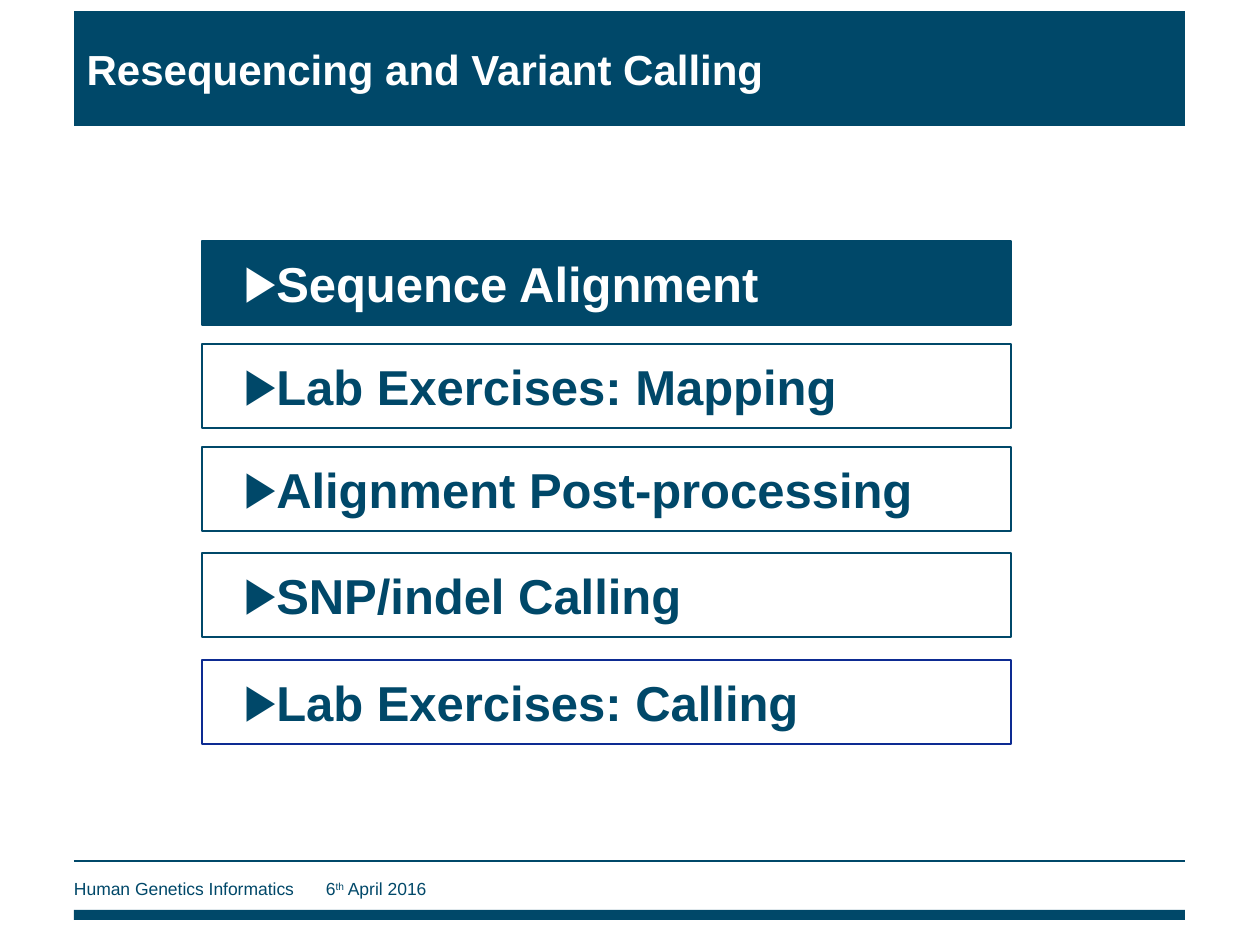
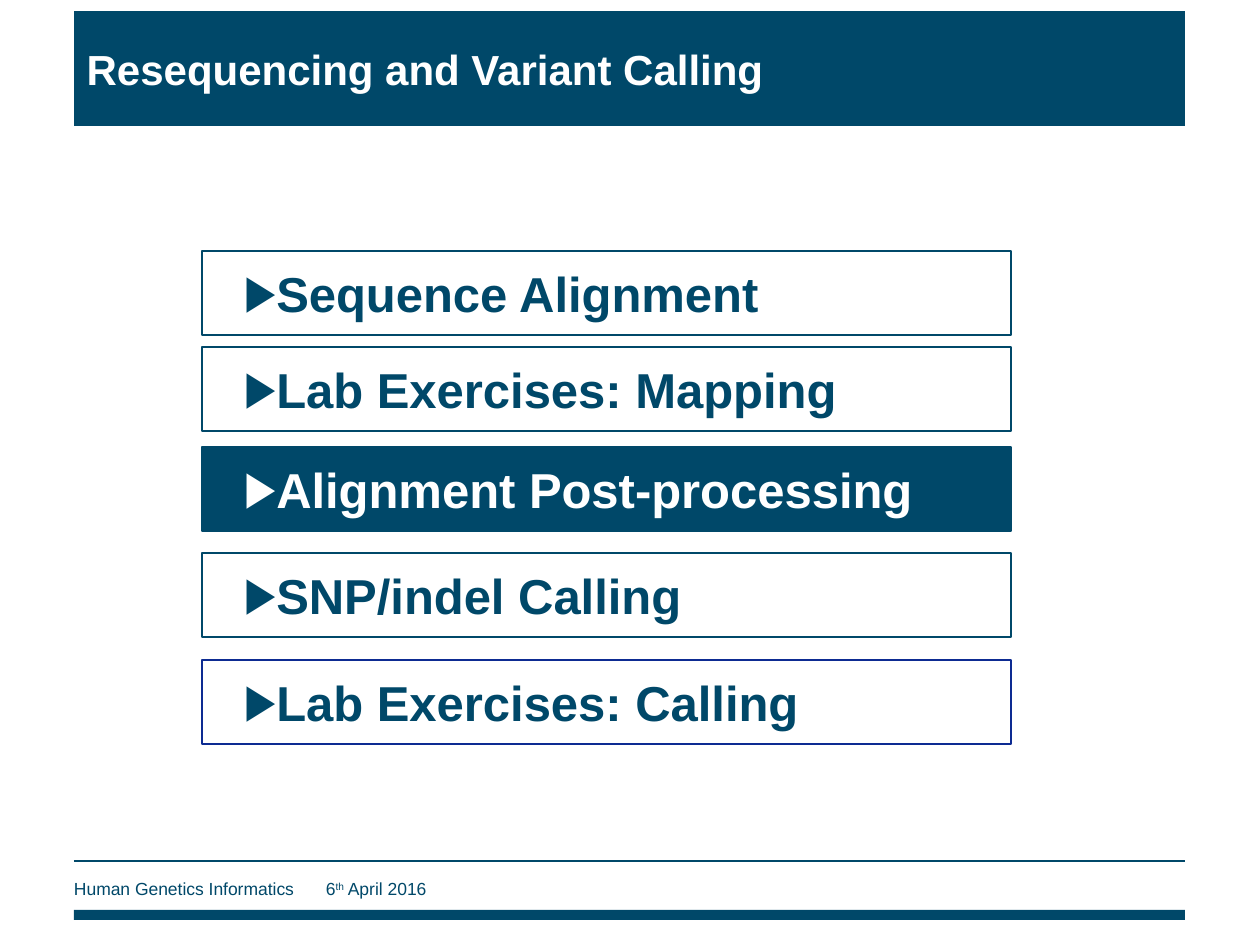
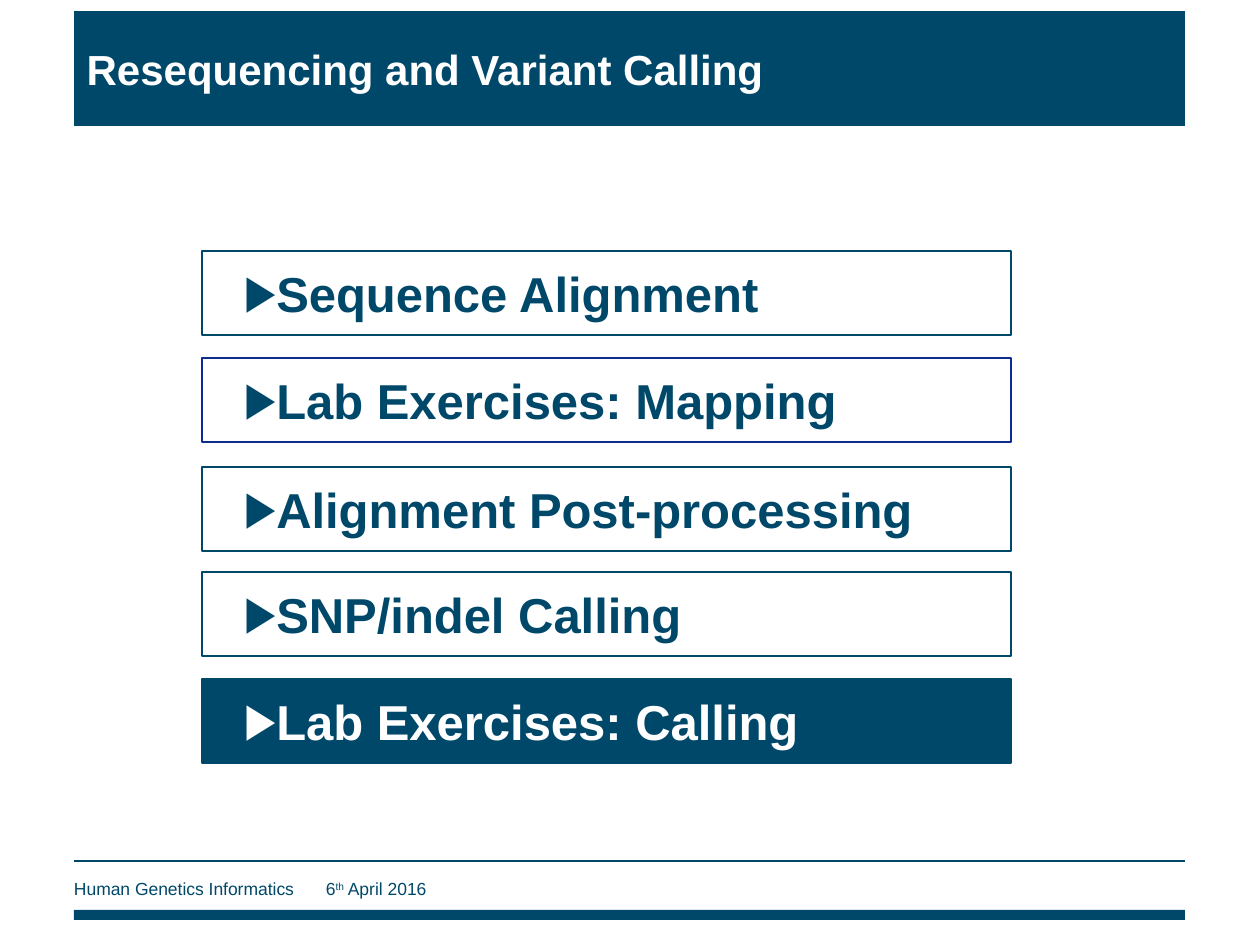
from lxml import etree
from pptx import Presentation
from pptx import util as u
from pptx.dml.color import RGBColor
from pptx.enum import shapes, text
from pptx.oxml import ns

PX = u.Inches(1) / 126
FONT = "Arial"
TEAL = "004869"
NAVY = "0D2B92"
WHITE = "FFFFFF"
BAND_LEFT, BAND_WIDTH = 74, 1111
TOPIC_LEFT, TOPIC_WIDTH, TOPIC_HEIGHT = 202, 809, 84
TITLE = "Resequencing and Variant Calling"
TOPICS = [
    "Sequence Alignment",
    "Lab Exercises: Mapping",
    "Alignment Post-processing",
    "SNP/indel Calling",
    "Lab Exercises: Calling",
]
AGENDAS = [
    {"tops": [241, 344, 447, 553, 660], "current": 0, "navy": 4},
    {"tops": [251, 347, 447, 553, 660], "current": 2, "navy": 4},
    {"tops": [251, 358, 467, 572, 679], "current": 4, "navy": 1},
]


def px(length):
    return u.Emu(round(length * PX))


def rgb(color):
    return RGBColor.from_string(color)


def box(*lengths):
    return [px(length) for length in lengths]


def add_run(paragraph, words, size, color, bold=False):
    run = paragraph.add_run()
    run.text = words
    run.font.name = FONT
    run.font.size = u.Pt(size)
    run.font.bold = bold
    run.font.color.rgb = rgb(color)
    return run


def add_bullet(paragraph, color):
    properties = paragraph._p.get_or_add_pPr()
    properties.set("marL", "0")
    properties.set("indent", "0")
    bullet_color = etree.SubElement(properties, ns.qn("a:buClr"))
    etree.SubElement(bullet_color, ns.qn("a:srgbClr"), val=color)
    etree.SubElement(properties, ns.qn("a:buFont"), typeface=FONT)
    etree.SubElement(properties, ns.qn("a:buChar"), char="▶")


def add_rectangle(slide, bounds, fill, line=None):
    shape = slide.shapes.add_shape(shapes.MSO_SHAPE.RECTANGLE, *box(*bounds))
    shape.shadow.inherit = False
    shape.fill.solid()
    shape.fill.fore_color.rgb = rgb(fill)
    if line:
        shape.line.color.rgb = rgb(line)
        shape.line.width = u.Pt(0.75)
    else:
        shape.line.fill.background()
    return shape


def add_footer(slide):
    add_rectangle(slide, (BAND_LEFT, 910, BAND_WIDTH, 10), TEAL)
    rule = slide.shapes.add_connector(
        shapes.MSO_CONNECTOR.STRAIGHT, *box(BAND_LEFT, 861, BAND_LEFT + BAND_WIDTH, 861))
    rule.line.color.rgb = rgb(TEAL)
    rule.line.width = u.Pt(0.75)
    etree.SubElement(rule._element.spPr, ns.qn("a:effectLst"))

    frame = slide.shapes.add_textbox(*box(BAND_LEFT, 872, 845, 34)).text_frame
    frame.word_wrap = True
    frame.margin_left = 0
    frame.vertical_anchor = text.MSO_ANCHOR.MIDDLE
    paragraph = frame.paragraphs[0]
    add_run(paragraph, "Human Genetics Informatics\t6", 10, TEAL)
    ordinal = add_run(paragraph, "th", 10, TEAL)
    ordinal.font._element.set("baseline", "30000")
    add_run(paragraph, " April 2016", 10, TEAL)


def set_title(slide, words):
    title = slide.shapes.title
    title.left, title.top, title.width, title.height = box(BAND_LEFT, 11, BAND_WIDTH, 115)
    title.fill.solid()
    title.fill.fore_color.rgb = rgb(TEAL)
    frame = title.text_frame
    frame.auto_size = text.MSO_AUTO_SIZE.NONE
    frame.vertical_anchor = text.MSO_ANCHOR.MIDDLE
    paragraph = frame.paragraphs[0]
    paragraph.alignment = text.PP_ALIGN.LEFT
    add_run(paragraph, words, 24, WHITE, bold=True)


def add_topic(slide, words, top, is_current, line):
    fill, color = (TEAL, WHITE) if is_current else (WHITE, TEAL)
    topic = add_rectangle(slide, (TOPIC_LEFT, top, TOPIC_WIDTH, TOPIC_HEIGHT), fill, line)
    frame = topic.text_frame
    frame.word_wrap = True
    frame.margin_left = px(42)
    frame.vertical_anchor = text.MSO_ANCHOR.MIDDLE
    paragraph = frame.paragraphs[0]
    paragraph.alignment = text.PP_ALIGN.LEFT
    add_bullet(paragraph, color)
    add_run(paragraph, words, 28, color, bold=True)


def add_agenda(presentation, tops, current, navy):
    slide = presentation.slides.add_slide(presentation.slide_layouts[5])
    add_footer(slide)
    set_title(slide, TITLE)
    for index, (words, top) in enumerate(zip(TOPICS, tops)):
        add_topic(slide, words, top, index == current, NAVY if index == navy else TEAL)


def main():
    presentation = Presentation()
    presentation.slide_width, presentation.slide_height = box(1260, 945)
    for agenda in AGENDAS:
        add_agenda(presentation, **agenda)
    presentation.save("out.pptx")


if __name__ == "__main__":
    main()
